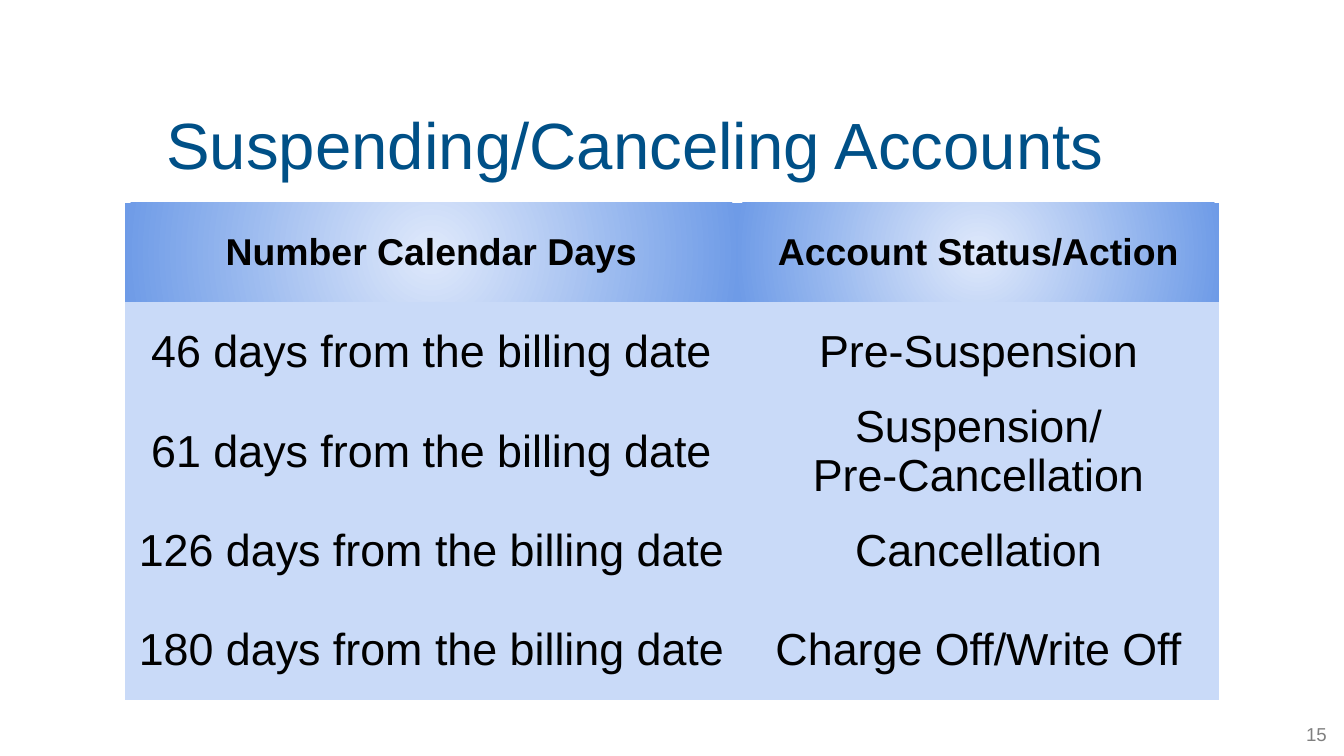
import lxml.etree
import pptx
import pptx.dml.color
import pptx.enum.text
import pptx.oxml
import pptx.oxml.ns
import pptx.util
from pptx.util import Inches

ALIGN = pptx.enum.text.PP_ALIGN
MIDDLE = pptx.enum.text.MSO_ANCHOR.MIDDLE
NO_STYLE_NO_GRID = "{2D5ABB26-0587-4C30-8999-92F81FD0307C}"
COLUMN_WIDTHS = (4.56, 3.58)
ROW_HEIGHT = 0.74
ROWS = [
    ("Number Calendar Days", "Account Status/Action"),
    ("46 days from the billing date", "Pre-Suspension"),
    ("61 days from the billing date", "Suspension/\vPre-Cancellation"),
    ("126 days from the billing date", "Cancellation"),
    ("180 days from the billing date", "Charge Off/Write Off"),
]


def color(value):
    return pptx.dml.color.RGBColor.from_string(value)


def write_text(frame, text, *, size, fill="000000", bold=False, align=ALIGN.LEFT):
    para = frame.paragraphs[0]
    para.alignment = align
    para.text = text
    if "\v" in text:
        # Two lines have to fit the common row height.
        para.line_spacing = pptx.util.Pt(26.5)
    for span in para.runs:
        span.font.name = "Arial"
        span.font.size = pptx.util.Pt(size)
        span.font.bold = bold
        span.font.color.rgb = color(fill)


def add_label(page, text, left, top, width, height, *, bottom_inset=0.05, **text_format):
    box = page.shapes.add_textbox(Inches(left), Inches(top), Inches(width), Inches(height))
    frame = box.text_frame
    frame.word_wrap = True
    frame.vertical_anchor = MIDDLE
    frame.margin_bottom = Inches(bottom_inset)
    write_text(frame, text, **text_format)


def fill_radial(cell, center, edge):
    """Blend from the center color to the edge color in circles."""
    cell.fill.gradient()
    first, last = cell.fill.gradient_stops
    for stop, position, value in ((first, 0, center), (last, 1, edge)):
        stop.position = position
        stop.color.rgb = color(value)
    gradient = cell._tc.tcPr.find(pptx.oxml.ns.qn("a:gradFill"))
    gradient.remove(gradient.find(pptx.oxml.ns.qn("a:lin")))
    circle = lxml.etree.SubElement(gradient, pptx.oxml.ns.qn("a:path"), path="circle")
    lxml.etree.SubElement(circle, pptx.oxml.ns.qn("a:fillToRect"),
                          l="50000", t="50000", r="50000", b="50000")


def add_status_table(page, left, top):
    table = page.shapes.add_table(
        len(ROWS), len(COLUMN_WIDTHS), Inches(left), Inches(top),
        Inches(sum(COLUMN_WIDTHS)), Inches(ROW_HEIGHT * len(ROWS))).table
    table._tbl.tblPr.find(pptx.oxml.ns.qn("a:tableStyleId")).text = NO_STYLE_NO_GRID
    table.horz_banding = False
    for column, width in zip(table.columns, COLUMN_WIDTHS):
        column.width = Inches(width)
    for row_index, texts in enumerate(ROWS):
        header = row_index == 0
        for cell, text in zip(table.rows[row_index].cells, texts):
            cell.margin_left = cell.margin_right = 0
            cell.margin_top = cell.margin_bottom = 0
            cell.vertical_anchor = MIDDLE
            if header:
                fill_radial(cell, "DFE9FB", "6E9BE7")
            else:
                cell.fill.solid()
                cell.fill.fore_color.rgb = color("C9DAF8")
            write_text(cell.text_frame, text, size=20 if header else 24,
                       bold=header, align=ALIGN.CENTER)


def main():
    deck = pptx.Presentation()
    deck.slide_width, deck.slide_height = Inches(10), Inches(10 * 9 / 16)
    page = deck.slides.add_slide(deck.slide_layouts[6])
    add_label(page, "15", 9.48, 5.33, 0.49, 0.27,
              size=10, fill="808080", align=ALIGN.RIGHT)
    add_label(page, "Suspending/Canceling Accounts", 1.14, 0.67, 8.15, 0.94,
              bottom_inset=0.19, size=35, fill="005087")
    add_status_table(page, 0.93, 1.51)
    deck.save("out.pptx")


if __name__ == "__main__":
    main()
